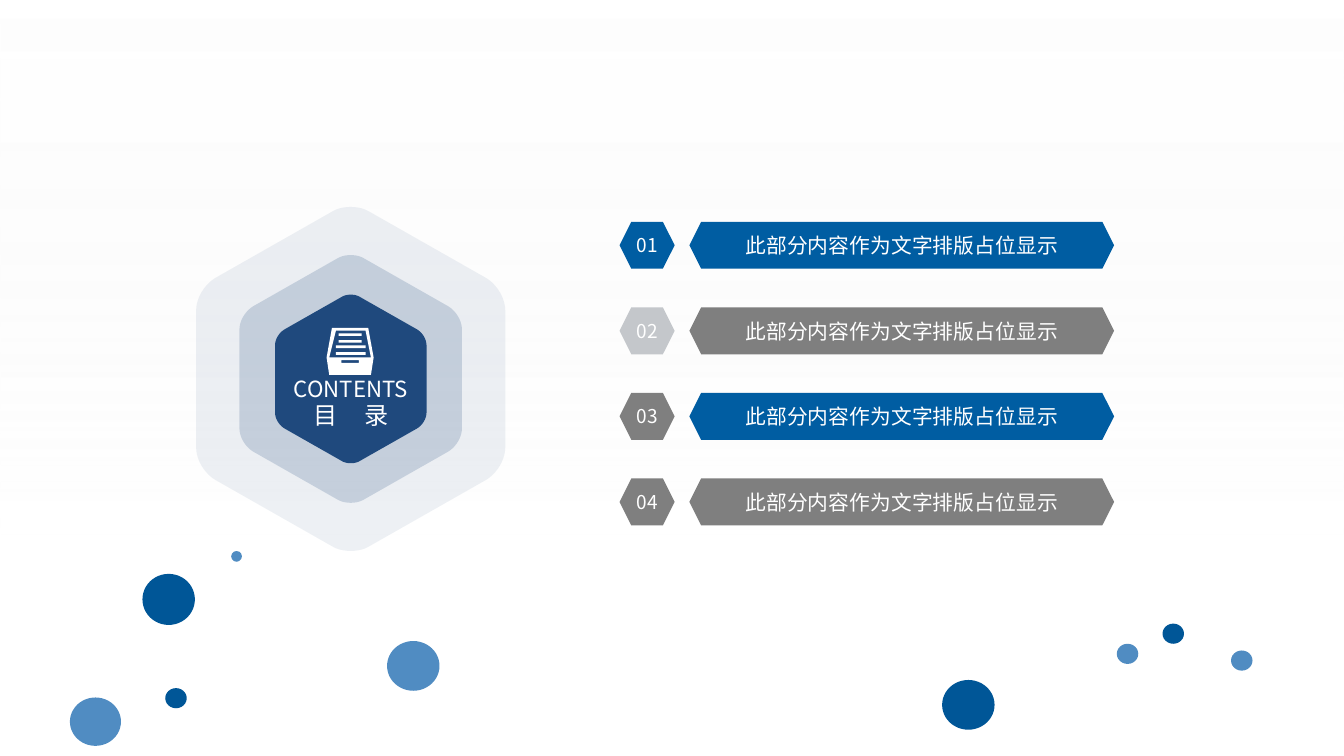
from dataclasses import dataclass

import pptx
import pptx.dml.color
import pptx.enum.shapes
import pptx.enum.text
import pptx.oxml.ns
import pptx.util
from pptx.util import Inches

FONT = "Noto Sans CJK SC"
NAVY, BLUE, GRAY, SILVER, WHITE = "1F497D", "005DA2", "7F7F7F", "C4C7CB", "FFFFFF"
DEEP, SKY = "005697", "508CC2"
SHAPES = pptx.enum.shapes.MSO_SHAPE
PAGE_WIDTH = 10
PAGE_HEIGHT = PAGE_WIDTH * 9 / 16


@dataclass
class Entry:
    number: str
    badge_color: str
    bar_color: str


@dataclass
class Dot:
    left: float
    top: float
    width: float
    height: float
    color: str


ENTRIES = [
    Entry("01", BLUE, BLUE),
    Entry("02", SILVER, GRAY),
    Entry("03", GRAY, BLUE),
    Entry("04", GRAY, GRAY),
]
ENTRY_TEXT = "此部分内容作为文字排版占位显示"
FIRST_TOP, LAST_TOP = 1.65, 3.56

DOTS = [
    Dot(1.06, 4.27, 0.39, 0.38, DEEP),
    Dot(7.01, 5.06, 0.39, 0.37, DEEP),
    Dot(8.31, 4.79, 0.16, 0.15, SKY),
    Dot(8.65, 4.64, 0.16, 0.15, DEEP),
    Dot(9.16, 4.84, 0.16, 0.15, SKY),
    Dot(2.88, 4.77, 0.39, 0.37, SKY),
    Dot(1.72, 4.1, 0.08, 0.08, SKY),
    Dot(1.23, 5.12, 0.16, 0.15, DEEP),
    Dot(0.52, 5.19, 0.38, 0.36, SKY),
]

# Cubic curves for three corners of the emblem; a half turn gives the others
CORNERS = [
    [(1.01, -0.75), (1.09, -0.7), (1.15, -0.6), (1.15, -0.51)],
    [(1.15, 0.51), (1.15, 0.6), (1.09, 0.7), (1.01, 0.75)],
    [(0.13, 1.25), (0.06, 1.29), (-0.06, 1.29), (-0.13, 1.25)],
]
CENTER = (2.61, 2.82)


def rgb(color: str):
    return pptx.dml.color.RGBColor.from_string(color)


def set_alpha(color_element, percent: float) -> None:
    alpha = color_element.makeelement(pptx.oxml.ns.qn("a:alpha"), {"val": str(int(percent * 1000))})
    color_element.append(alpha)


def paint(shape, color: str, opacity: float = 100) -> None:
    shape.shadow.inherit = False
    shape.line.fill.background()
    shape.fill.solid()
    shape.fill.fore_color.rgb = rgb(color)
    if opacity < 100:
        set_alpha(next(shape._element.iter(pptx.oxml.ns.qn("a:srgbClr"))), opacity)


def add_preset(page, kind, left: float, top: float, width: float, height: float, color: str):
    shape = page.shapes.add_shape(kind, Inches(left), Inches(top), Inches(width), Inches(height))
    paint(shape, color)
    return shape


def format_span(span, size: float) -> None:
    span.font.size = pptx.util.Pt(size)
    span.font.color.rgb = rgb(WHITE)
    span.font.name = FONT
    properties = span.font._element
    latin = properties.find(pptx.oxml.ns.qn("a:latin"))
    latin.addnext(properties.makeelement(pptx.oxml.ns.qn("a:ea"), {"typeface": FONT}))


def write(shape, text: str, size: float, wrap: bool = True):
    frame = shape.text_frame
    frame.text = text
    frame.word_wrap = wrap
    frame.vertical_anchor = pptx.enum.text.MSO_ANCHOR.MIDDLE
    para = frame.paragraphs[0]
    para.alignment = pptx.enum.text.PP_ALIGN.CENTER
    format_span(para.runs[0], size)
    return para


def add_caption(page, top: float, text: str, size: float):
    box = page.shapes.add_textbox(Inches(2.13), Inches(top), Inches(0.96), Inches(0.2))
    frame = box.text_frame
    frame.margin_left = frame.margin_right = frame.margin_top = frame.margin_bottom = 0
    return write(box, text, size)


def add_outline(page, contours: list, color: str, opacity: float = 100) -> None:
    contours = [[(Inches(x), Inches(y)) for x, y in contour] for contour in contours]
    builder = page.shapes.build_freeform(*contours[0][0])
    for index, contour in enumerate(contours):
        if index:
            builder.move_to(*contour[0])
        builder.add_line_segments(contour[1:], close=True)
    paint(builder.convert_to_shape(), color, opacity)


def curve_point(curve: list, t: float) -> tuple:
    weights = ((1 - t) ** 3, 3 * t * (1 - t) ** 2, 3 * t**2 * (1 - t), t**3)
    return tuple(sum(w * point[axis] for w, point in zip(weights, curve)) for axis in (0, 1))


def add_emblem(page, scale: float, opacity: float) -> None:
    steps = 10
    half = [curve_point(curve, i / steps) for curve in CORNERS for i in range(steps + 1)]
    points = [
        (CENTER[0] + sign * scale * x, CENTER[1] + sign * scale * y)
        for sign in (1, -1)
        for x, y in half
    ]
    add_outline(page, [points], NAVY, opacity)


def bar(left: float, top: float, right: float, bottom: float) -> list:
    return [(left, top), (left, bottom), (right, bottom), (right, top)]


def add_entry(page, entry: Entry, top: float) -> None:
    badge = add_preset(page, SHAPES.HEXAGON, 4.61, top, 0.41, 0.35, entry.badge_color)
    write(badge, entry.number, 10.2, wrap=False)
    label = add_preset(page, SHAPES.HEXAGON, 5.13, top, 3.16, 0.35, entry.bar_color)
    write(label, ENTRY_TEXT, 11.1)


def add_backdrop(page) -> None:
    backdrop = add_preset(page, SHAPES.RECTANGLE, 0, 0, PAGE_WIDTH, PAGE_HEIGHT, WHITE)
    backdrop.fill.gradient()
    backdrop.fill.gradient_angle = 270
    stops = backdrop.fill.gradient_stops
    for stop, position, color in zip(stops, (0, 0.71), (WHITE, "F2F2F2")):
        stop.position = position
        stop.color.rgb = rgb(color)
    colors = list(backdrop._element.spPr.iter(pptx.oxml.ns.qn("a:srgbClr")))
    for element, opacity in zip(colors, (55, 0)):
        set_alpha(element, opacity)


def main() -> None:
    deck = pptx.Presentation()
    deck.slide_width, deck.slide_height = Inches(PAGE_WIDTH), Inches(PAGE_HEIGHT)
    page = deck.slides.add_slide(deck.slide_layouts[6])
    add_backdrop(page)

    # Contents list
    pitch = (LAST_TOP - FIRST_TOP) / (len(ENTRIES) - 1)
    for index, entry in enumerate(ENTRIES):
        add_entry(page, entry, FIRST_TOP + pitch * index)

    # Nested emblem
    for scale, opacity in ((1, 8), (0.72, 19), (0.49, 100)):
        add_emblem(page, scale, opacity)

    # Emblem captions and icon; the second caption is spread by character spacing
    add_caption(page, 2.79, "CONTENTS", 11.9)

    # Document tray icon: body, window, text lines and slot
    body = [(2.47, 2.44), (2.74, 2.44), (2.78, 2.66), (2.76, 2.79), (2.45, 2.79), (2.43, 2.66)]
    window = [(2.5, 2.46), (2.45, 2.66), (2.76, 2.66), (2.72, 2.46)]
    lines = [bar(2.52, top, 2.69, top + 0.02) for top in (2.48, 2.53)]
    lines += [bar(2.5, top, 2.72, top + 0.02) for top in (2.57, 2.62)]
    add_outline(page, [body, window, *lines, bar(2.54, 2.68, 2.67, 2.7)], WHITE)

    para = add_caption(page, 2.99, "目 ", 12.9)
    para.runs[0].font._element.set("spc", "575")
    span = para.add_run()
    span.text = "录"
    format_span(span, 12.9)

    # Scattered dots
    for dot in DOTS:
        add_preset(page, SHAPES.OVAL, dot.left, dot.top, dot.width, dot.height, dot.color)

    deck.save("out.pptx")


if __name__ == "__main__":
    main()
